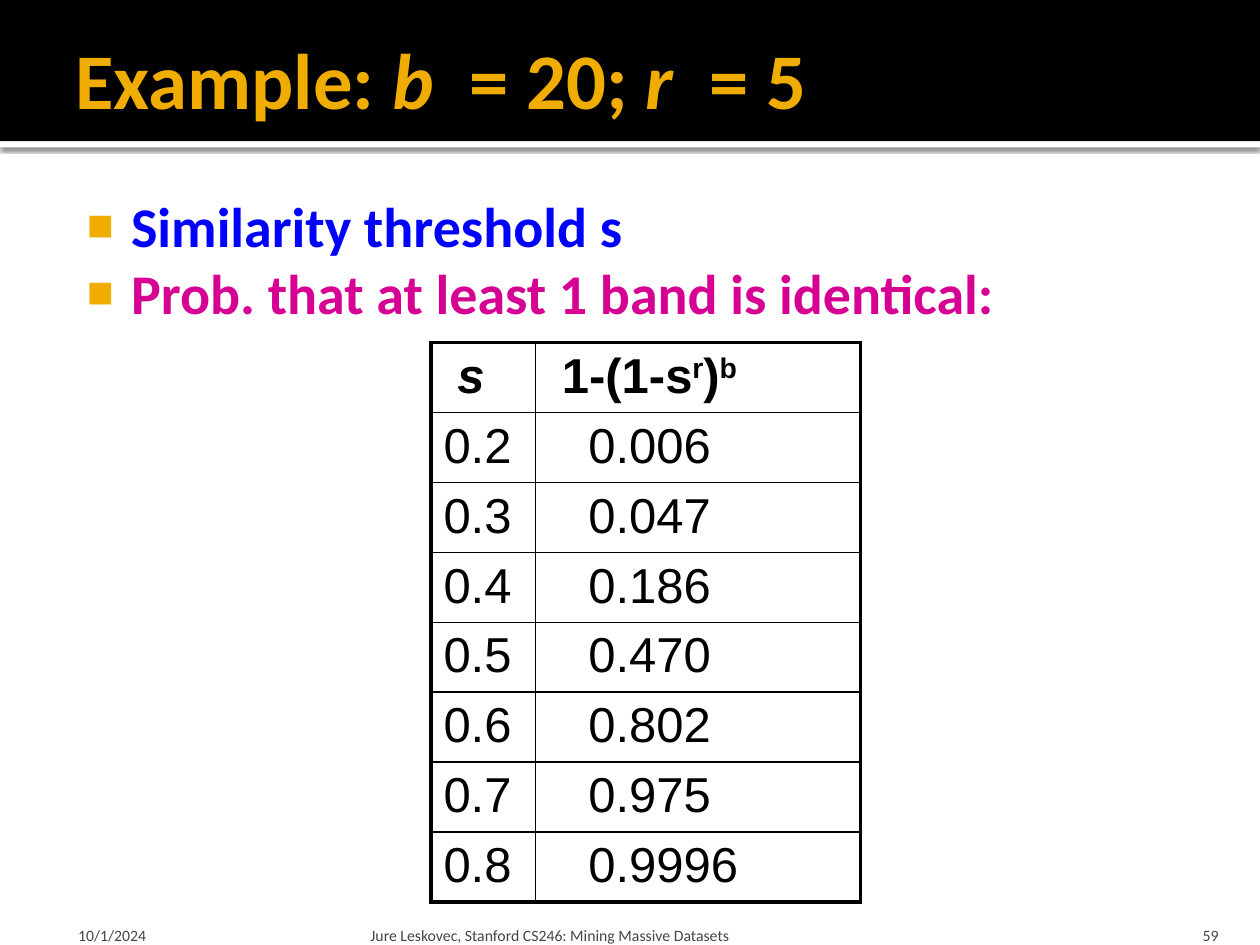
from lxml import etree
from pptx import Presentation
from pptx.dml.color import RGBColor
from pptx.enum.shapes import MSO_SHAPE
from pptx.enum.text import MSO_ANCHOR, MSO_AUTO_SIZE, PP_ALIGN
from pptx.oxml import parse_xml
from pptx.oxml.ns import nsdecls, qn
from pptx.util import Inches, Pt

RECT = MSO_SHAPE.RECTANGLE
TOP, MIDDLE, BOTTOM = MSO_ANCHOR.TOP, MSO_ANCHOR.MIDDLE, MSO_ANCHOR.BOTTOM
LEFT, RIGHT = PP_ALIGN.LEFT, PP_ALIGN.RIGHT
NO_FIT = MSO_AUTO_SIZE.NONE

BLACK = RGBColor(0x00, 0x00, 0x00)
WHITE = RGBColor(0xFF, 0xFF, 0xFF)
AMBER = RGBColor(0xF0, 0xAD, 0x00)
BLUE = RGBColor(0x00, 0x00, 0xFF)
MAGENTA = RGBColor(0xD6, 0x00, 0x93)
GRAY = RGBColor(0x45, 0x45, 0x45)

TITLE = {"name": "Calibri", "size": Pt(45), "bold": True, "color": AMBER}
BODY = {"name": "Calibri", "size": Pt(32), "bold": True}
FOOTER = {"name": "Calibri", "size": Pt(9), "color": GRAY}
CELL = {"name": "Arial", "size": Pt(28), "bold": False, "color": BLACK}
HEAD = {**CELL, "bold": True}

THIN, THICK = Pt(1), Pt(2.25)
PROBABILITIES = [
    ("0.2", "0.006"), ("0.3", "0.047"), ("0.4", "0.186"), ("0.5", "0.470"),
    ("0.6", "0.802"), ("0.7", "0.975"), ("0.8", "0.9996"),
]


def add_run(p, text, fmt, **extra):
    """Add a run formatted from a dict of font values."""
    r = p.add_run()
    r.text = text
    for key, value in {**fmt, **extra}.items():
        if key == "color":
            r.font.color.rgb = value
        else:
            setattr(r.font, key, value)
    return r


def set_frame(tf, anchor, insets):
    """Set wrapping, anchor and insets (left, top, right, bottom) of a text frame."""
    tf.word_wrap = True
    tf.auto_size = NO_FIT
    tf.vertical_anchor = anchor
    for side, inset in zip(("left", "top", "right", "bottom"), insets):
        setattr(tf, f"margin_{side}", Inches(inset))


def place(sp, *box):
    """Move and size a placeholder and bring it to the front."""
    for key, value in zip(("left", "top", "width", "height"), box):
        setattr(sp, key, Inches(value))
    sp._element.getparent().append(sp._element)


def add_band(s, top, height, color):
    """Add a full-width band without outline."""
    sp = s.shapes.add_shape(RECT, 0, Inches(top), Inches(10), Inches(height))
    sp.shadow.inherit = False
    sp.fill.solid()
    sp.fill.fore_color.rgb = color
    sp.line.fill.background()
    return sp


def add_shadow(sp):
    """Give a shape a soft shadow below it."""
    effects = sp._element.spPr.find(qn("a:effectLst"))
    effects.append(parse_xml(
        f'<a:outerShdw {nsdecls("a")} blurRad="{Pt(2.5)}" dist="{Pt(0.8)}" '
        f'dir="5400000" algn="t" rotWithShape="0"><a:srgbClr val="{BLACK}">'
        '<a:alpha val="60000"/></a:srgbClr></a:outerShdw>'))


def fill_title(sp):
    """Write the slide title with italic variables."""
    place(sp, 0.5, 0.08, 9, 1.08)
    set_frame(sp.text_frame, MIDDLE, (0.1, 0.05, 0.05, 0.05))
    p = sp.text_frame.paragraphs[0]
    p.alignment = LEFT
    add_run(p, "Example: ", TITLE)
    for variable, value in (("b", "= 20; "), ("r", "= 5")):
        add_run(p, variable, TITLE, italic=True)
        gap = add_run(p, " ", TITLE)
        gap._r.get_or_add_rPr().set("spc", "1000")
        add_run(p, value, TITLE)


def add_bullet(p):
    """Give a paragraph a hanging square bullet."""
    pPr = p._p.get_or_add_pPr()
    pPr.set("marL", str(Inches(0.48)))
    pPr.set("indent", str(Inches(-0.35)))
    color = etree.SubElement(pPr, qn("a:buClr"))
    etree.SubElement(color, qn("a:srgbClr"), val=str(AMBER))
    etree.SubElement(pPr, qn("a:buSzPct"), val="80000")
    etree.SubElement(pPr, qn("a:buFont"), typeface="Arial")
    etree.SubElement(pPr, qn("a:buChar"), char="■")


def fill_body(sp, items):
    """Write the bulleted list of (text, color) items."""
    place(sp, 0.5, 1.42, 9, 5.75)
    tf = sp.text_frame
    set_frame(tf, TOP, (0.06, 0.1, 0.1, 0.05))
    for i, (text, color) in enumerate(items):
        p = tf.add_paragraph() if i else tf.paragraphs[0]
        add_bullet(p)
        p.space_before = Pt(0)
        add_run(p, text, BODY, color=color)


def add_footer(s, left, width, text, inset, align=LEFT):
    """Add one footer text box."""
    sp = s.shapes.add_textbox(Inches(left), Inches(7.2), Inches(width), Inches(0.3))
    set_frame(sp.text_frame, BOTTOM, (inset, 0.05, 0.1 if align == RIGHT else 0.05, 0))
    p = sp.text_frame.paragraphs[0]
    p.alignment = align
    add_run(p, text, FOOTER)


def set_borders(cell, widths):
    """Draw the left, right, top and bottom borders of a cell."""
    tcPr = cell._tc.get_or_add_tcPr()
    for side, width in zip("LRTB", widths):
        ln = etree.SubElement(tcPr, qn(f"a:ln{side}"), w=str(width))
        fill = etree.SubElement(ln, qn("a:solidFill"))
        etree.SubElement(fill, qn("a:srgbClr"), val=str(BLACK))


def add_probability_table(s):
    """Add the table of similarity against probability."""
    rows = len(PROBABILITIES) + 1
    table = s.shapes.add_table(
        rows, 2, Inches(3.42), Inches(2.72), Inches(3.41), Inches(4.44)).table
    table.first_row = table.horz_banding = False
    for column, width in zip(table.columns, (0.83, 2.58)):
        column.width = Inches(width)
    for i in range(rows):
        for j in range(2):
            cell = table.cell(i, j)
            edges = (j == 0, j == 1, i == 0, i == rows - 1)
            set_borders(cell, [THICK if edge else THIN for edge in edges])
            cell.fill.background()
            cell.margin_left = Inches(0.21 if i == 0 else (0.1, 0.42)[j])
            if i:
                add_run(cell.text_frame.paragraphs[0], PROBABILITIES[i - 1][j], CELL)
    add_run(table.cell(0, 0).text_frame.paragraphs[0], "s", HEAD, italic=True)
    p = table.cell(0, 1).text_frame.paragraphs[0]
    for base, exponent in (("1-(1-s", "r"), (")", "b")):
        add_run(p, base, HEAD)
        r = add_run(p, exponent, HEAD)
        r._r.get_or_add_rPr().set("baseline", "30000")


def main():
    """Build the slide and save it."""
    prs = Presentation()
    prs.slide_width, prs.slide_height = Inches(10), Inches(7.5)
    s = prs.slides.add_slide(prs.slide_layouts[1])
    add_shadow(add_band(s, 1.12, 0.05, WHITE))
    add_band(s, 0, 1.12, BLACK)
    fill_title(s.shapes.title)
    fill_body(s.placeholders[1], [
        ("Similarity threshold s", BLUE),
        ("Prob. that at least 1 band is identical:", MAGENTA),
    ])
    add_footer(s, 0.5, 2.33, "10/1/2024", 0.12)
    add_footer(s, 2.89, 6.02, "Jure Leskovec, Stanford CS246: Mining Massive Datasets", 0.05)
    add_footer(s, 8.97, 0.8, "59", 0.1, RIGHT)
    add_probability_table(s)
    prs.save("out.pptx")


if __name__ == "__main__":
    main()
